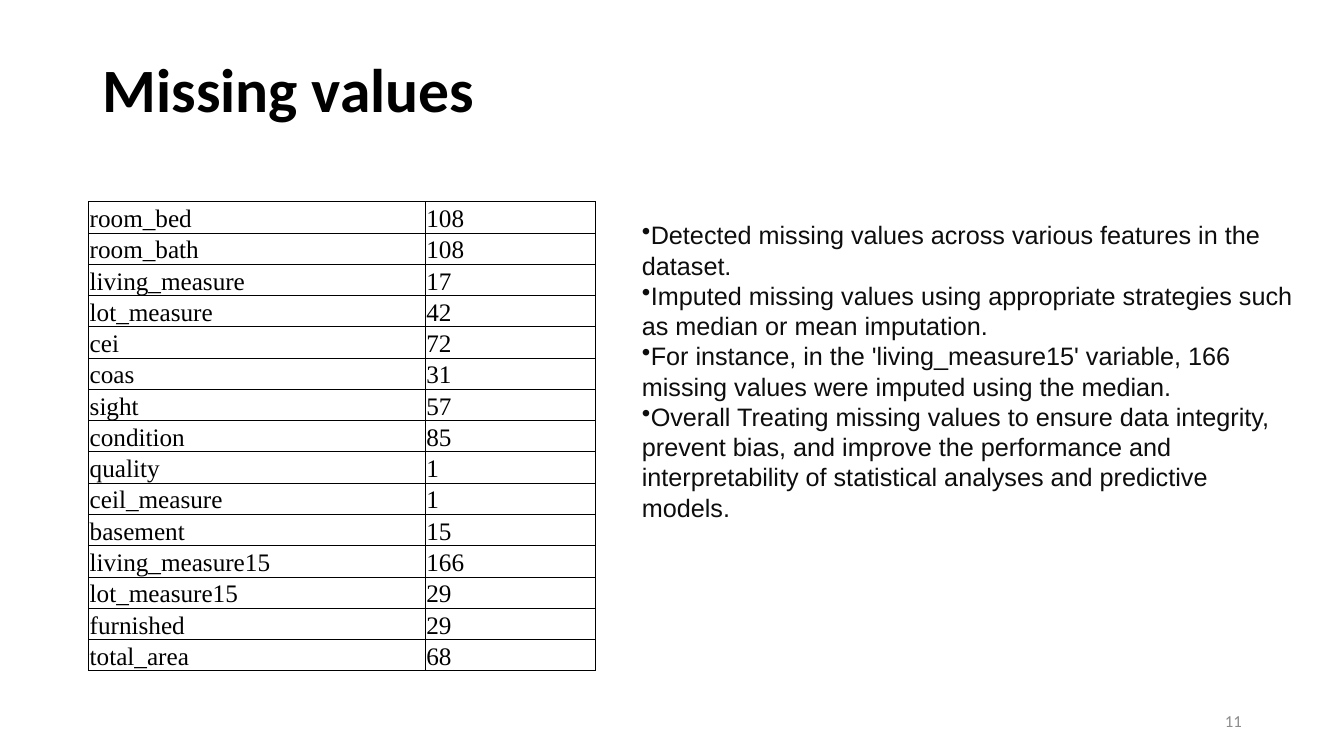
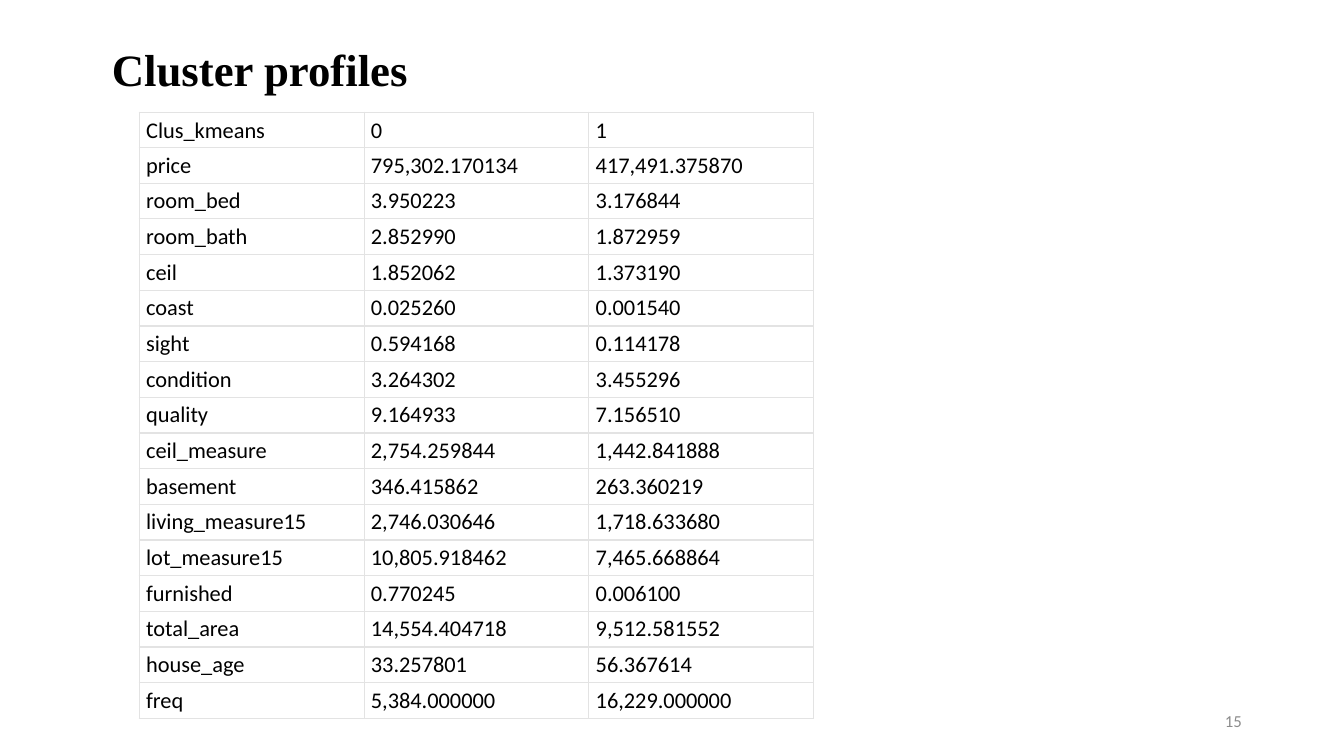
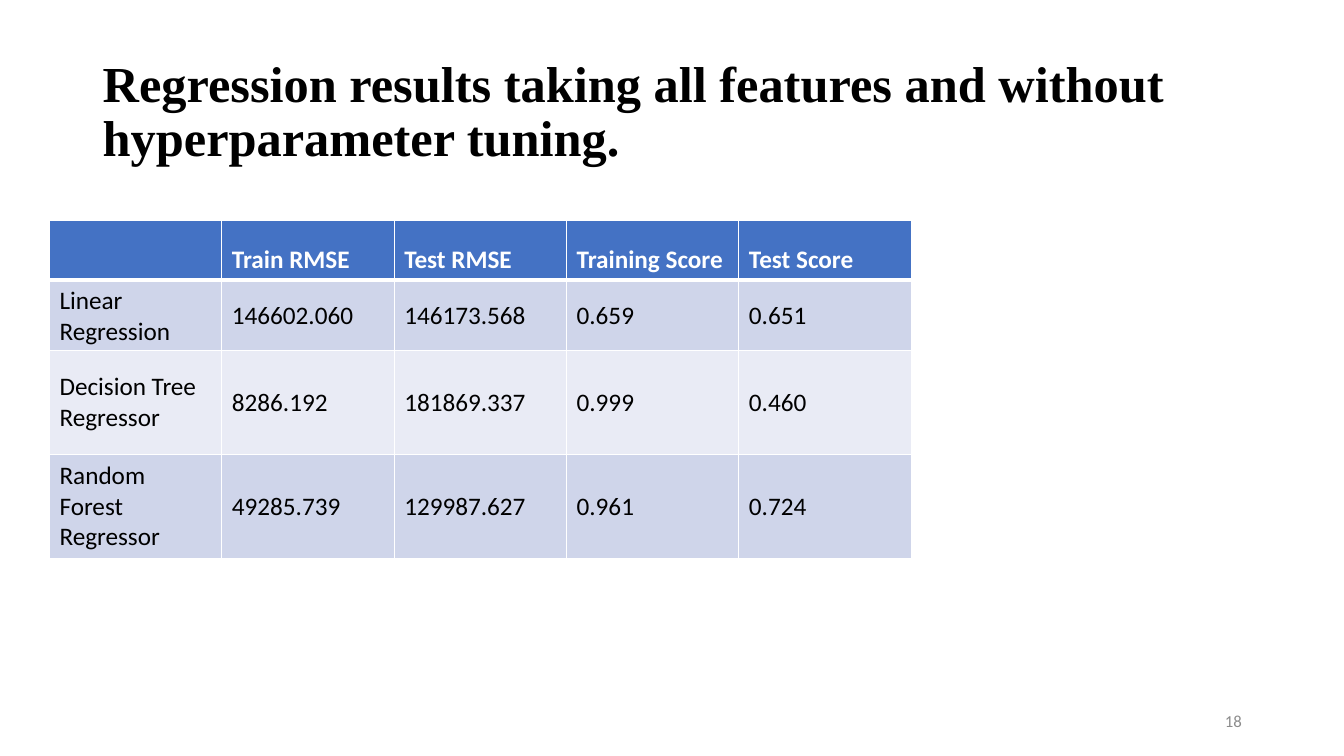
from dataclasses import dataclass

from lxml import etree
from pptx import Presentation
from pptx import util as u
from pptx.dml.color import RGBColor
from pptx.enum import text
from pptx.oxml import ns

# Shared look
WIDTH, HEIGHT = u.Inches(13.33), u.Inches(7.5)
BLACK = RGBColor(0x00, 0x00, 0x00)
WHITE = RGBColor(0xFF, 0xFF, 0xFF)
INK = RGBColor(0x0D, 0x0D, 0x0D)
GREY = RGBColor(0x8C, 0x8C, 0x8C)
RULE_GREY = RGBColor(0xE3, 0xE3, 0xE3)
HEADER_BLUE = RGBColor(0x44, 0x72, 0xC4)
BAND_DARK = RGBColor(0xCF, 0xD5, 0xEA)
BAND_LIGHT = RGBColor(0xE9, 0xEB, 0xF5)
SANS, SERIF, BODY = "Calibri", "Times New Roman", "Arial"
TOP, MIDDLE, BOTTOM = text.MSO_ANCHOR.TOP, text.MSO_ANCHOR.MIDDLE, text.MSO_ANCHOR.BOTTOM


@dataclass(frozen=True)
class Box:
    """A place on the slide, in percent of its width and height."""
    left: float
    top: float
    width: float
    height: float

    def lengths(self) -> tuple[int, int, int, int]:
        return (int(WIDTH * self.left / 100), int(HEIGHT * self.top / 100),
                int(WIDTH * self.width / 100), int(HEIGHT * self.height / 100))


@dataclass(frozen=True)
class Style:
    font: str
    size: float
    color: RGBColor = BLACK
    bold: bool = False


@dataclass(frozen=True)
class Rules:
    """Border colour and line widths in points."""
    color: RGBColor
    upright: float
    upright_edge: float
    level: float
    level_edge: float
    under_header: float


@dataclass(frozen=True)
class Grid:
    box: Box
    columns: list[float]  # relative widths
    rows: list[float]     # relative heights
    style: Style
    header: Style
    rules: Rules
    margins: tuple[float, float, float, float]  # left, top, right, bottom
    header_fill: RGBColor | None = None
    bands: tuple[RGBColor | None, ...] = (None,)
    header_anchor: text.MSO_ANCHOR = BOTTOM
    anchor: text.MSO_ANCHOR = MIDDLE


TITLE_BOX = Box(6.9, 5.33, 86.25, 13.87)
NUMBER_BOX = Box(70.65, 92.67, 22.5, 5.33)
NUMBER_STYLE = Style(SANS, 12, GREY)


# Drawing
def set_font(para, style: Style) -> None:
    font = para.font
    font.name, font.size, font.bold = style.font, u.Pt(style.size), style.bold
    font.color.rgb = style.color


def add_text(page, box: Box, lines: list[str], style: Style, anchor=TOP,
             align=text.PP_ALIGN.LEFT, spacing: float = 1, bullet: str = "") -> None:
    frame = page.shapes.add_textbox(*box.lengths()).text_frame
    frame.word_wrap = True
    frame.vertical_anchor = anchor
    frame.text = "\n".join(lines)
    for para in frame.paragraphs:
        set_font(para, style)
        para.alignment, para.line_spacing = align, spacing
        if bullet:
            props = para._p.get_or_add_pPr()
            mark = etree.Element(ns.qn("a:buChar"), char=bullet)
            props.insert_element_before(mark, "a:tabLst", "a:defRPr", "a:extLst")


def add_title(page, title: str, style: Style, box: Box = TITLE_BOX,
              anchor=MIDDLE, spacing: float = 0.9) -> None:
    add_text(page, box, [title], style, anchor, spacing=spacing)


def set_borders(cell, color: RGBColor, widths: dict[str, float]) -> None:
    props = cell._tc.get_or_add_tcPr()
    for place, (side, width) in enumerate(widths.items()):
        line = etree.Element(ns.qn(f"a:ln{side}"), w=str(u.Pt(width)))
        fill = etree.SubElement(line, ns.qn("a:solidFill"))
        etree.SubElement(fill, ns.qn("a:srgbClr"), val=str(color))
        props.insert(place, line)


def add_grid(page, grid: Grid, values: list[list[str]]) -> None:
    last_row, last_column = len(grid.rows) - 1, len(grid.columns) - 1
    left, top, width, height = grid.box.lengths()
    table = page.shapes.add_table(last_row + 1, last_column + 1,
                                  left, top, width, height).table
    table.first_row = table.horz_banding = False
    for column, share in zip(table.columns, grid.columns):
        column.width = int(width * share / sum(grid.columns))
    for row, share in zip(table.rows, grid.rows):
        row.height = int(height * share / sum(grid.rows))

    rules = grid.rules
    levels = [rules.level_edge, rules.under_header,
              *[rules.level] * (last_row - 1), rules.level_edge]
    uprights = [rules.upright_edge, *[rules.upright] * last_column, rules.upright_edge]
    for r, row_values in enumerate(values):
        fill = grid.bands[(r - 1) % len(grid.bands)] if r else grid.header_fill
        for c, value in enumerate(row_values):
            cell = table.cell(r, c)
            cell.text = value
            set_font(cell.text_frame.paragraphs[0], grid.style if r else grid.header)
            cell.vertical_anchor = grid.anchor if r else grid.header_anchor
            (cell.margin_left, cell.margin_top, cell.margin_right,
             cell.margin_bottom) = map(u.Inches, grid.margins)
            if fill is None:
                cell.fill.background()
            else:
                cell.fill.solid()
                cell.fill.fore_color.rgb = fill
            set_borders(cell, rules.color, {"L": uprights[c], "R": uprights[c + 1],
                                            "T": levels[r], "B": levels[r + 1]})


def add_page(deck, number: int):
    page = deck.slides.add_slide(deck.slide_layouts[6])
    add_text(page, NUMBER_BOX, [str(number)], NUMBER_STYLE, MIDDLE, text.PP_ALIGN.RIGHT)
    return page


# Content
MISSING = [
    ["room_bed", "108"], ["room_bath", "108"], ["living_measure", "17"],
    ["lot_measure", "42"], ["cei", "72"], ["coas", "31"], ["sight", "57"],
    ["condition", "85"], ["quality", "1"], ["ceil_measure", "1"],
    ["basement", "15"], ["living_measure15", "166"], ["lot_measure15", "29"],
    ["furnished", "29"], ["total_area", "68"],
]
FINDINGS = [
    "Detected missing values across various features in the dataset.",
    "Imputed missing values using appropriate strategies such as median or mean imputation.",
    "For instance, in the 'living_measure15' variable, 166 missing values were imputed "
    "using the median.",
    "Overall Treating missing values to ensure data integrity, prevent bias, and improve "
    "the performance and interpretability of statistical analyses and predictive models.",
]
CLUSTERS = [
    ["Clus_kmeans", "0", "1"],
    ["price", "795,302.170134", "417,491.375870"],
    ["room_bed", "3.950223", "3.176844"],
    ["room_bath", "2.852990", "1.872959"],
    ["ceil", "1.852062", "1.373190"],
    ["coast", "0.025260", "0.001540"],
    ["sight", "0.594168", "0.114178"],
    ["condition", "3.264302", "3.455296"],
    ["quality", "9.164933", "7.156510"],
    ["ceil_measure", "2,754.259844", "1,442.841888"],
    ["basement", "346.415862", "263.360219"],
    ["living_measure15", "2,746.030646", "1,718.633680"],
    ["lot_measure15", "10,805.918462", "7,465.668864"],
    ["furnished", "0.770245", "0.006100"],
    ["total_area", "14,554.404718", "9,512.581552"],
    ["house_age", "33.257801", "56.367614"],
    ["freq", "5,384.000000", "16,229.000000"],
]
SCORES = [
    ["", "Train RMSE", "Test RMSE", "Training Score", "Test Score"],
    ["Linear Regression", "146602.060", "146173.568", "0.659", "0.651"],
    ["Decision Tree Regressor", "8286.192", "181869.337", "0.999", "0.460"],
    ["Random Forest Regressor", "49285.739", "129987.627", "0.961", "0.724"],
]


# Slides
def missing_values(deck) -> None:
    page = add_page(deck, 11)
    add_title(page, "Missing values", Style(SANS, 44, bold=True))
    style = Style(SERIF, 18)
    add_grid(page, Grid(Box(6.6, 26.67, 37.73, 57), [3.34, 1.69], [1] * len(MISSING),
                        style, style, Rules(BLACK, 0.5, 1, 0.5, 1, 0.5),
                        (0.01, 0.01, 0.01, 0), anchor=BOTTOM), MISSING)
    add_text(page, Box(47.02, 28.4, 50, 33.6), FINDINGS, Style(BODY, 18, INK), bullet="•")


def cluster_profiles(deck) -> None:
    page = add_page(deck, 15)
    style = Style(SANS, 16)
    add_grid(page, Grid(Box(10.35, 14.8, 50.18, 80.27), [1] * 3, [1] * len(CLUSTERS),
                        style, style, Rules(RULE_GREY, 0.6, 0.6, 1, 0.6, 1),
                        (0.07, 0.03, 0.07, 0.03), WHITE, (WHITE,)), CLUSTERS)
    add_title(page, "Cluster profiles", Style(SERIF, 32, bold=True),
              Box(7.58, 4.8, 63.75, 8.53), TOP, 1)


def regression_results(deck) -> None:
    page = add_page(deck, 18)
    add_title(page, "Regression results taking all features and without "
              "hyperparameter tuning.", Style(SERIF, 36, bold=True),
              Box(6.9, 5.33, 86.25, 19.33))
    add_grid(page, Grid(Box(3.68, 29.2, 64.13, 43.2), [1] * 5, [0.59, 0.59, 1.03, 1.03],
                        Style(SANS, 18), Style(SANS, 18, WHITE, True),
                        Rules(WHITE, 1, 1, 1, 1, 3), (0.1, 0.05, 0.1, 0.05),
                        HEADER_BLUE, (BAND_DARK, BAND_LIGHT)), SCORES)


def main() -> None:
    deck = Presentation()
    deck.slide_width, deck.slide_height = WIDTH, HEIGHT
    for build in (missing_values, cluster_profiles, regression_results):
        build(deck)
    deck.save("out.pptx")


if __name__ == "__main__":
    main()
